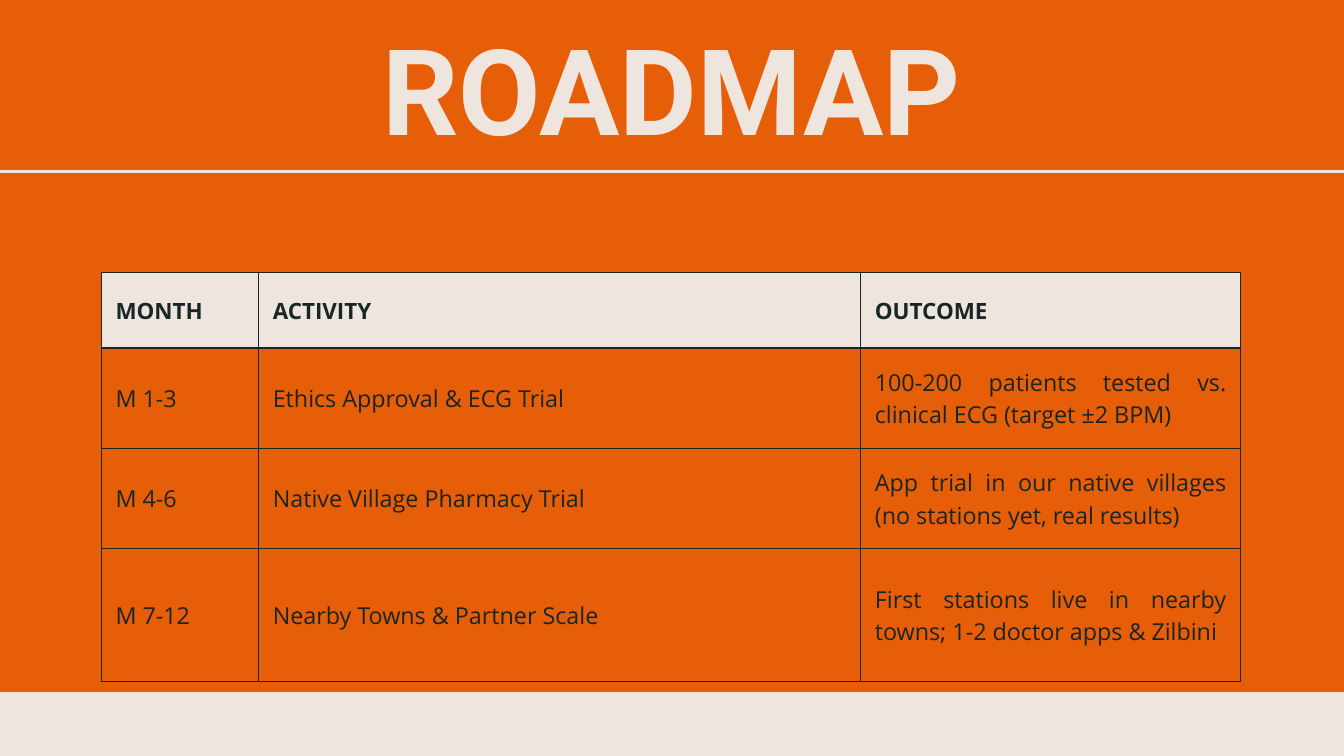
from pptx import Presentation
from pptx.dml.color import RGBColor as Rgb
from pptx.enum.shapes import MSO_CONNECTOR as Conn, MSO_SHAPE as Kind
from pptx.enum.text import MSO_ANCHOR as Anchor, PP_ALIGN as Align
from pptx.oxml.ns import qn
from pptx.util import Inches, Pt
from lxml.etree import SubElement as Sub

HUES = {"back": "E65E07", "cream": "EDE5DE", "ink": "1A2526"}
COLS = [2.34, 8.96, 5.65]
ROWS = [1.12, 1.49, 1.49, 1.98]
PLAN = [
    ["MONTH", "ACTIVITY", "OUTCOME"],
    ["M 1-3", "Ethics Approval & ECG Trial",
     "100-200 patients tested vs. clinical ECG (target ±2 BPM)"],
    ["M 4-6", "Native Village Pharmacy Trial",
     "App trial in our native villages (no stations yet, real results)"],
    ["M 7-12", "Nearby Towns & Partner Scale",
     "First stations live in nearby towns; 1-2 doctor apps & Zilbini"],
]


def hue(name):
    """Return the named colour."""
    return Rgb.from_string(HUES[name])


def write(frame, text, size, font="Open Sans", color="ink", bold=False, align=Align.JUSTIFY):
    """Put one formatted paragraph in a text frame."""
    frame.word_wrap = True
    par = frame.paragraphs[0]
    par.alignment = align
    par.line_spacing = Pt(size * 1.4)
    run = par.add_run()
    run.text = text
    run.font.size = Pt(size)
    run.font.name = font
    run.font.bold = bold
    run.font.color.rgb = hue(color)


def border(cell):
    """Draw a thin line on all four sides of a cell."""
    props = cell._tc.get_or_add_tcPr()
    for side in ("lnL", "lnR", "lnT", "lnB"):
        line = Sub(props, qn("a:" + side), w=str(Pt(1.5)))
        Sub(Sub(line, qn("a:solidFill")), qn("a:srgbClr"), val=HUES["ink"])


def title(slide, left, top, width, height):
    """Place the heading in the given box."""
    box = slide.shapes.add_textbox(Inches(left), Inches(top), Inches(width), Inches(height))
    frame = box.text_frame
    frame.margin_left = frame.margin_right = frame.margin_top = frame.margin_bottom = 0
    write(frame, "ROADMAP", 128, font="Roboto", color="cream", bold=True, align=Align.CENTER)


def rule(slide, left, top, width):
    """Draw the line below the heading."""
    line = slide.shapes.add_connector(
        Conn.STRAIGHT, Inches(left), Inches(top), Inches(left + width), Inches(top))
    line.line.color.rgb = hue("cream")
    line.line.width = Pt(3)
    Sub(line._element.spPr, qn("a:effectLst"))


def grid(slide, left, top, width, height):
    """Place the roadmap table in the given box."""
    table = slide.shapes.add_table(
        len(ROWS), len(COLS), Inches(left), Inches(top), Inches(width), Inches(height)).table
    for col, size in zip(table.columns, COLS):
        col.width = Inches(size * width / sum(COLS))
    for row, size in zip(table.rows, ROWS):
        row.height = Inches(size * height / sum(ROWS))
    for r, texts in enumerate(PLAN):
        head = r == 0
        for c, text in enumerate(texts):
            cell = table.cell(r, c)
            cell.vertical_anchor = Anchor.MIDDLE
            cell.margin_left = cell.margin_right = Inches(0.21)
            cell.margin_top = cell.margin_bottom = Inches(0.21)
            border(cell)
            if head:
                cell.fill.solid()
                cell.fill.fore_color.rgb = hue("cream")
            else:
                cell.fill.background()
            write(cell.text_frame, text, 24 if head else 25, bold=head)


def footer(slide, left, top, width, height):
    """Draw the pale band at the foot."""
    band = slide.shapes.add_shape(
        Kind.RECTANGLE, Inches(left), Inches(top), Inches(width), Inches(height))
    band.shadow.inherit = False
    band.fill.solid()
    band.fill.fore_color.rgb = hue("cream")
    band.line.fill.background()


def main():
    """Build and save the slide."""
    deck = Presentation()
    deck.slide_width, deck.slide_height = Inches(20), Inches(11.25)
    slide = deck.slides.add_slide(deck.slide_layouts[6])
    slide.background.fill.solid()
    slide.background.fill.fore_color.rgb = hue("back")
    rule(slide, 0, 2.55, 20)
    grid(slide, 1.51, 4.06, 16.95, 6.08)
    footer(slide, 0, 10.3, 20, 0.95)
    title(slide, 1.51, -0.11, 16.97, 2.42)
    deck.save("out.pptx")


if __name__ == "__main__":
    main()
